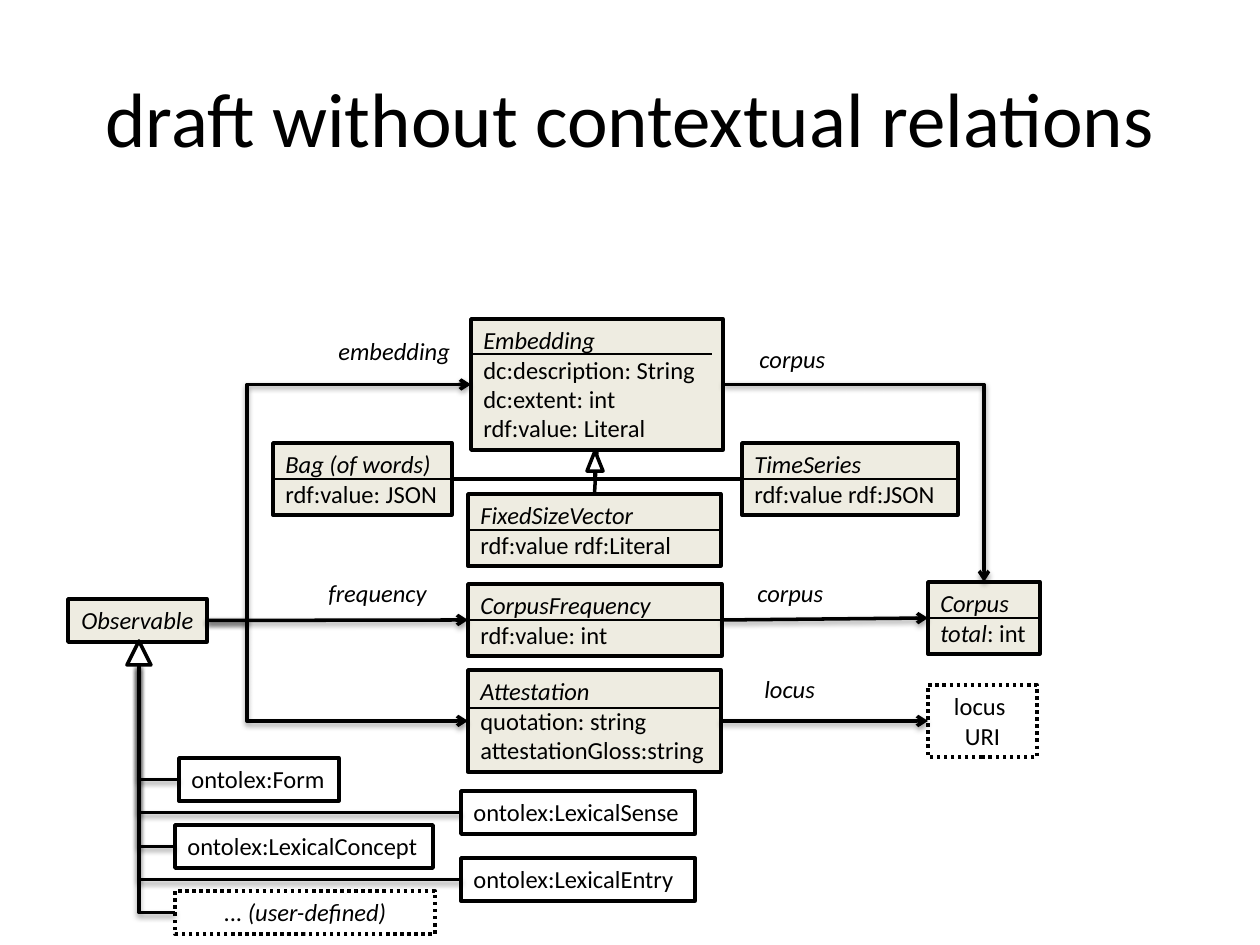
from lxml import etree
from pptx import Presentation
from pptx import util as u
from pptx.dml.color import RGBColor
from pptx.enum import dml, shapes, text
from pptx.oxml.ns import qn

EMU_PER_PX = 914400 / 126
TOP, LEFT, BOTTOM, RIGHT = range(4)
BLACK, WHITE, BEIGE = "000000", "FFFFFF", "EEECE1"
FRAME = {"auto_size": text.MSO_AUTO_SIZE.SHAPE_TO_FIT_TEXT,
         "vertical_anchor": text.MSO_ANCHOR.TOP}
BODY = {"name": "Calibri", "size": u.Pt(14)}
HEADING = {"name": "Calibri", "size": u.Pt(44)}


def px(*lengths):
    return [u.Emu(round(length * EMU_PER_PX)) for length in lengths]


def rgb(colour):
    return RGBColor.from_string(colour)


def apply_format(target, values):
    for name, value in values.items():
        setattr(target, name, value)


def write_lines(frame, lines, centred=False, wrap=False):
    apply_format(frame, {**FRAME, "word_wrap": wrap})
    for index, line in enumerate(lines):
        paragraph = frame.paragraphs[0] if index == 0 else frame.add_paragraph()
        paragraph.alignment = text.PP_ALIGN.CENTER if centred else text.PP_ALIGN.LEFT
        for part, words in enumerate(line.split("*")):
            if words:
                run = paragraph.add_run()
                run.text = words
                apply_format(run.font, {**BODY, "italic": part % 2 == 1})
                run.font.color.rgb = rgb(BLACK)


def add_outlined(slide, preset, area, fill):
    shape = slide.shapes.add_shape(preset, *px(*area))
    shape.shadow.inherit = False
    if fill:
        shape.fill.solid()
        shape.fill.fore_color.rgb = rgb(fill)
    else:
        shape.fill.background()
        shape.line.dash_style = dml.MSO_LINE.ROUND_DOT
    shape.line.color.rgb = rgb(BLACK)
    shape.line.width = u.Pt(2)
    return shape


def add_box(slide, area, lines, fill=BEIGE, centred=False, wrap=False):
    box = add_outlined(slide, shapes.MSO_SHAPE.RECTANGLE, area, fill)
    write_lines(box.text_frame, lines, centred, wrap)
    return box


def add_triangle(slide, area):
    add_outlined(slide, shapes.MSO_SHAPE.ISOSCELES_TRIANGLE, area, WHITE)


def add_label(slide, left, top, width, words):
    label = slide.shapes.add_textbox(*px(left, top, width, 43))
    write_lines(label.text_frame, [f"*{words}*"])


def side(box, site):
    x = {LEFT: 0, RIGHT: box.width}.get(site, box.width // 2)
    y = {TOP: 0, BOTTOM: box.height}.get(site, box.height // 2)
    return u.Emu(box.left + x), u.Emu(box.top + y)


def add_line(slide, start, end, kind=shapes.MSO_CONNECTOR.STRAIGHT,
             width=2, arrow=False, shadow=False):
    line = slide.shapes.add_connector(kind, *start, *end)
    line.line.color.rgb = rgb(BLACK)
    line.line.width = u.Pt(width)
    properties = line.element.spPr
    if arrow:
        etree.SubElement(properties.find(qn("a:ln")), qn("a:tailEnd"), type="arrow")
    effects = etree.SubElement(properties, qn("a:effectLst"))
    if shadow:
        outer = etree.SubElement(effects, qn("a:outerShdw"), blurRad="40000",
                                 dist="20000", dir="5400000", rotWithShape="0")
        colour = etree.SubElement(outer, qn("a:srgbClr"), val=BLACK)
        etree.SubElement(colour, qn("a:alpha"), val="38000")
    return line


def join_boxes(slide, source, source_site, target, target_site, **style):
    line = add_line(slide, side(source, source_site), side(target, target_site), **style)
    line.begin_connect(source, source_site)
    line.end_connect(target, target_site)


def add_corner(slide, start, end, **style):
    line = add_line(slide, start, end, shapes.MSO_CONNECTOR.ELBOW, **style)
    line.element.spPr.find(qn("a:prstGeom")).set("prst", "bentConnector2")


def add_branch(slide, start, end, trunk):
    line = add_line(slide, start, end, shapes.MSO_CONNECTOR.ELBOW, arrow=True, shadow=True)
    share = round((trunk - start[0]) / (end[0] - start[0]) * 100000)
    guides = line.element.spPr.find(qn("a:prstGeom")).find(qn("a:avLst"))
    etree.SubElement(guides, qn("a:gd"), name="adj1", fmla=f"val {share}")


def add_title(slide, words):
    title = slide.shapes.title
    apply_format(title, dict(zip(("left", "top", "width", "height"), px(63, 38, 1134, 157))))
    title.text_frame.text = words
    title.text_frame.vertical_anchor = text.MSO_ANCHOR.MIDDLE
    paragraph = title.text_frame.paragraphs[0]
    paragraph.alignment = text.PP_ALIGN.CENTER
    apply_format(paragraph.font, HEADING)
    paragraph.font.color.rgb = rgb(BLACK)


def add_observables(slide):
    observable = add_box(slide, (68, 599, 139, 43), ["*Observable*"], centred=True)
    add_triangle(slide, (127, 641, 24, 24))
    kinds = [
        (179, 160, "ontolex:Form", {"fill": WHITE}),
        (461, 234, "ontolex:LexicalSense", {"fill": WHITE}),
        (175, 258, "ontolex:LexicalConcept", {"fill": WHITE}),
        (461, 234, "ontolex:LexicalEntry", {"fill": WHITE, "wrap": True}),
        (175, 260, "... *(user-defined)*", {"fill": None, "centred": True, "wrap": True}),
    ]
    for row, (left, width, name, style) in enumerate(kinds):
        box = add_box(slide, (left, 758 + round(row * 33.3), width, 43), [name], **style)
        add_corner(slide, side(box, LEFT), px(139, 665), shadow=True)
    return observable


def add_embeddings(slide):
    embedding = add_box(slide, (471, 319, 252, 131), [
        "*Embedding*", "dc:description: String", "dc:extent: int", "rdf:value: Literal"],
        wrap=True)
    add_line(slide, px(471, 354), px(712, 354), width=0.75)
    bag = add_box(slide, (273, 443, 179, 72), ["*Bag (of words)*", "rdf:value: JSON"])
    series = add_box(slide, (742, 443, 216, 72), ["*TimeSeries*", "rdf:value rdf:JSON"])
    vector = add_box(slide, (468, 494, 253, 72),
                     ["*FixedSizeVector*", "rdf:value rdf:Literal"], wrap=True)
    for box, site in ((series, LEFT), (bag, RIGHT)):
        add_corner(slide, side(box, site), px(595, 471))
    join_boxes(slide, vector, TOP, embedding, BOTTOM)
    add_triangle(slide, (587, 451, 16, 20))
    for box in (bag, series, vector):
        join_boxes(slide, box, LEFT, box, RIGHT, width=0.75)
    return embedding


def main():
    deck = Presentation()
    deck.slide_width, deck.slide_height = px(1260, 945)
    slide = deck.slides.add_slide(deck.slide_layouts[5])
    add_title(slide, "draft without contextual relations")

    observable = add_observables(slide)
    embedding = add_embeddings(slide)
    frequency = add_box(slide, (468, 584, 254, 72),
                        ["*CorpusFrequency*", "rdf:value: int"], wrap=True)
    attestation = add_box(slide, (468, 670, 253, 102), [
        "*Attestation*", "quotation: string", "attestationGloss:string"])
    add_line(slide, px(468, 708), px(721, 708), width=0.75)
    corpus = add_box(slide, (928, 582, 112, 72), ["*Corpus*", "*total*: int"])
    locus = add_box(slide, (928, 685, 109, 72), ["locus ", "URI"],
                    fill=None, centred=True, wrap=True)
    for box in (frequency, corpus):
        join_boxes(slide, box, LEFT, box, RIGHT, width=0.75)

    trunk = px(247)[0]
    for box in (embedding, attestation):
        add_branch(slide, side(observable, RIGHT), side(box, LEFT), trunk)
    for source, target in ((observable, frequency), (frequency, corpus), (attestation, locus)):
        join_boxes(slide, source, RIGHT, target, LEFT, arrow=True, shadow=True)
    add_corner(slide, side(embedding, RIGHT), side(corpus, TOP), arrow=True, shadow=True)

    for label in ((326, 330, 139, "embedding"), (316, 572, 125, "frequency"),
                  (747, 338, 92, "corpus"), (745, 572, 92, "corpus"),
                  (752, 668, 77, "locus")):
        add_label(slide, *label)
    deck.save("out.pptx")


if __name__ == "__main__":
    main()
